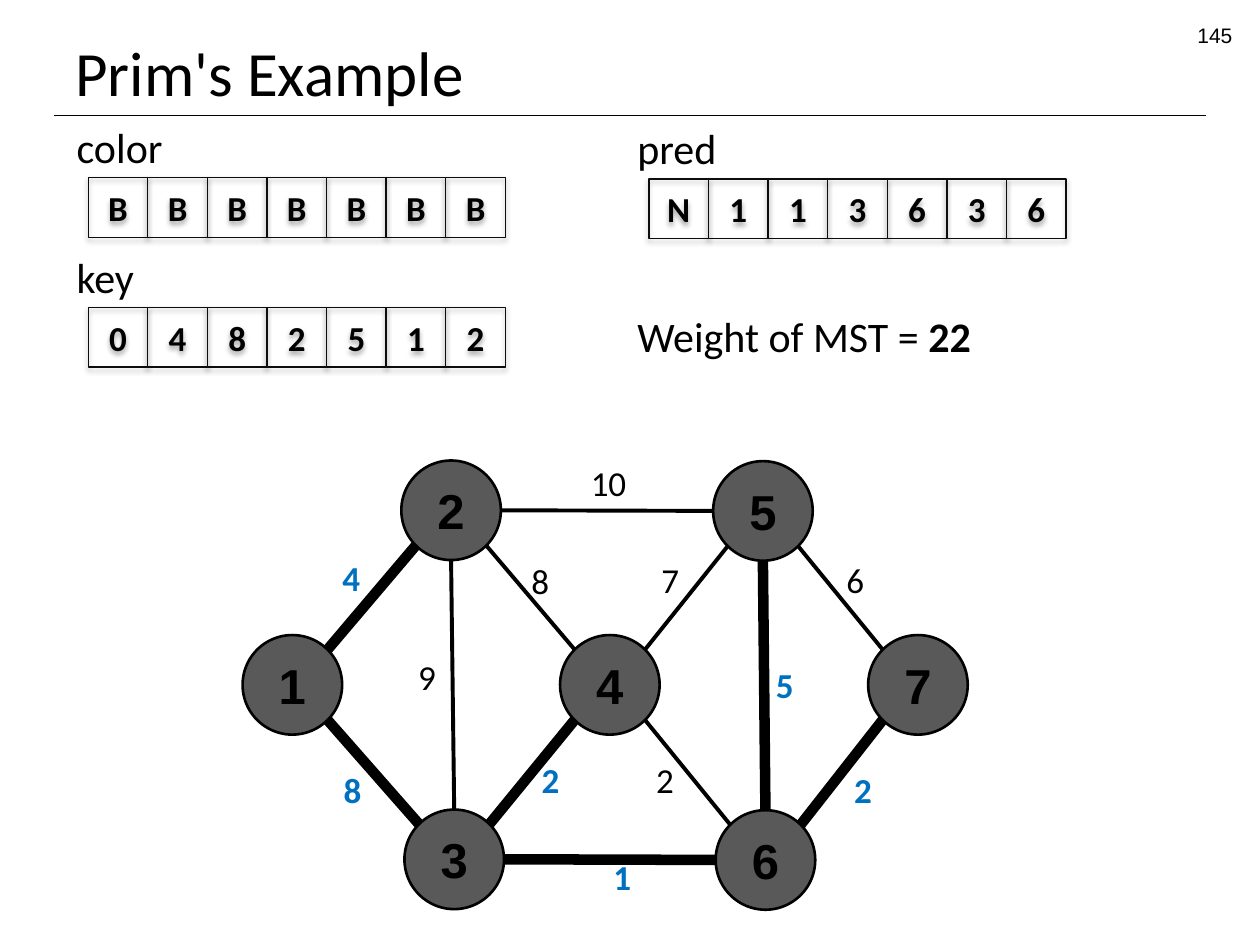
from math import atan2, cos, pi, sin
from lxml.etree import SubElement as Sub
from pptx import Presentation
from pptx.dml.color import RGBColor as RGB
from pptx.enum.shapes import MSO_CONNECTOR as Conn, MSO_SHAPE as Kind
from pptx.enum.text import MSO_ANCHOR as Anchor, MSO_AUTO_SIZE as Auto, PP_ALIGN as Align
from pptx.oxml.ns import qn
from pptx.util import Inches, Pt

# Content; places are in columns and rows of a 100 by 75 grid
HUES = {"ink": "000000", "cell": "0D0D0D", "node": "595959", "tree": "0070C0"}
ARRAYS = [  # name, values, left, top and width of its heading
    ("color", "BBBBBBB", 5.1, 9.15, 8.9),
    ("key", "0482512", 5.1, 19.45, 6.6),
    ("pred", "N113636", 49.6, 9.25, 8.4),
]
NODES = {  # number: centre
    1: (23.2, 54.35), 2: (35.8, 40.5), 3: (36.05, 68.2), 4: (48.4, 54.35),
    5: (60.55, 40.55), 6: (60.75, 68.25), 7: (72.85, 54.35),
}
EDGES = [  # ends, weight, in tree, left and top of label
    (1, 2, 4, True, 26.2, 43.7), (1, 3, 8, True, 26.3, 60.5),
    (4, 6, 2, False, 51.1, 59.7), (4, 3, 2, True, 42, 59.7),
    (4, 2, 8, False, 41.2, 43.9), (4, 5, 7, False, 51.5, 43.8),
    (7, 5, 6, False, 66.2, 43.8), (7, 6, 2, True, 66.8, 60.5),
    (3, 2, 9, False, 32.2, 51.5), (6, 5, 5, True, 60.6, 52.2),
    (5, 2, 10, False, 45.9, 36.1), (6, 3, 1, True, 47.7, 67.4),
]
CELL, DIAM = 4.73, 7.9

deck = Presentation()
deck.slide_width, deck.slide_height = Inches(10), Inches(7.5)
slide = deck.slides.add_slide(deck.slide_layouts[6])
shapes = slide.shapes


def grid(*spots):
    return [Inches(spot / 10) for spot in spots]


def hue(name):
    return RGB.from_string(HUES[name])


def style(para, size, face="Calibri", tint="ink", bold=False, align=Align.LEFT):
    para.alignment = align
    font = para.font
    font.size, font.name, font.bold = Pt(size), face, bold
    font.color.rgb = hue(tint)


def label(text, place, size, wrap=False, anchor=Anchor.TOP, **look):
    frame = shapes.add_textbox(*grid(*place)).text_frame
    frame.word_wrap, frame.vertical_anchor = wrap, anchor
    frame.auto_size = Auto.NONE if wrap else Auto.SHAPE_TO_FIT_TEXT
    para = frame.paragraphs[0]
    para.text = text
    style(para, size, **look)
    return para


def block(kind, text, place, edge, width, size, face):
    shape = shapes.add_shape(kind, *grid(*place))
    shape.shadow.inherit = False
    shape.fill.background()
    shape.line.color.rgb, shape.line.width = hue(edge), Pt(width)
    frame = shape.text_frame
    frame.word_wrap, frame.vertical_anchor = False, Anchor.MIDDLE
    frame.text = text
    style(frame.paragraphs[0], size, face, bold=True, align=Align.CENTER)
    return shape


def shade(shape):
    drop = Sub(shape.element.spPr.find(qn("a:effectLst")), qn("a:outerShdw"),
               blurRad=str(Pt(3.1)), dist=str(Pt(1.8)), dir="5400000",
               rotWithShape="0")
    tint = Sub(drop, qn("a:srgbClr"), val=HUES["ink"])
    Sub(tint, qn("a:alpha"), val="35000")


def rule(start, end, width):
    line = shapes.add_connector(Conn.STRAIGHT, *grid(*start, *end))
    line.line.color.rgb, line.line.width = hue("ink"), Pt(width)
    Sub(line.element.spPr, qn("a:effectLst"))


def rim(centre, angle):
    return (centre[0] + DIAM / 2 * cos(angle), centre[1] + DIAM / 2 * sin(angle))


# Heading and page number
rule((4.3, 9.15), (95.7, 9.15), 0.75)
label("Prim's Example", (5, 1.35, 90, 7.8), 36, wrap=True, anchor=Anchor.BOTTOM)
label("145", (75.5, 1.3, 23.3, 2.8), 12, wrap=True, face="Arial", align=Align.RIGHT)

# Arrays
for name, values, left, top, wide in ARRAYS:
    label(name, (left, top, wide, 5), 24)
    for col, value in enumerate(values):
        place = (left + 1.9 + col * CELL, top + 4.95, CELL, CELL)
        shade(block(Kind.RECTANGLE, value, place, "cell", 0.75, 20, "Calibri"))

# Total weight
total = label("Weight of MST = ", (49.6, 24.15, 28.7, 5), 24)
run = total.add_run()
run.text, run.font.bold = "22", True

# Graph nodes
for number, (x, y) in NODES.items():
    place = (x - DIAM / 2, y - DIAM / 2, DIAM, DIAM)
    node = block(Kind.OVAL, str(number), place, "ink", 1.5, 28, "Arial")
    node.fill.solid()
    node.fill.fore_color.rgb = hue("node")

# Graph edges meet the rims at multiples of 45 degrees
for first, last, weight, tree, left, top in EDGES:
    a, b = NODES[first], NODES[last]
    angle = round(atan2(b[1] - a[1], b[0] - a[0]) / (pi / 4)) * pi / 4
    rule(rim(a, angle), rim(b, angle + pi), 6 if tree else 2.25)
    label(str(weight), (left, top, 1.9 + 1.5 * len(str(weight)), 4.4), 20,
          tint="tree" if tree else "ink", bold=tree)

deck.save("out.pptx")
